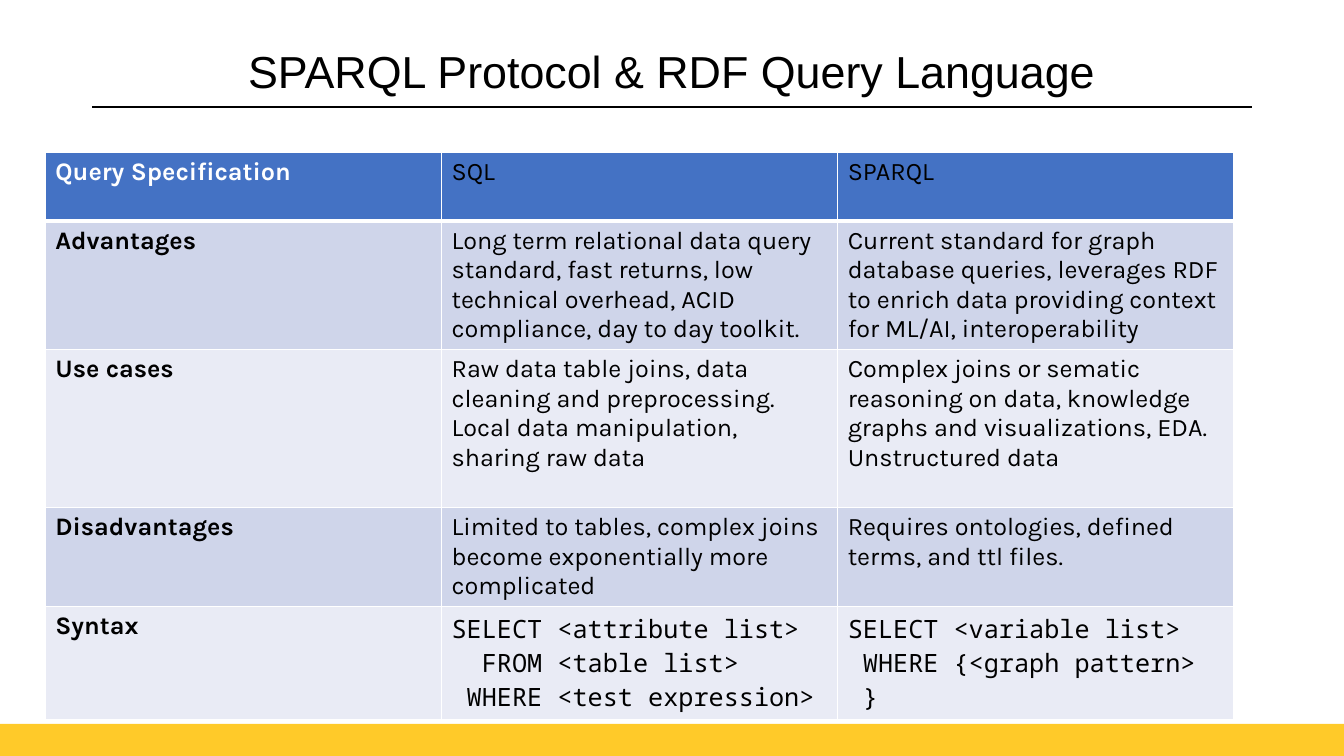
import pptx
import pptx.util
import pptx.dml.color
import pptx.enum.shapes
import pptx.enum.text
import pptx.oxml
import pptx.oxml.ns
from dataclasses import dataclass

Pt = pptx.util.Pt


@dataclass(frozen=True)
class Theme:
    black: str = "000000"
    white: str = "FFFFFF"
    gold: str = "FFCA29"
    header: str = "4472C4"
    bands: tuple = ("CFD5EA", "E9EBF5")
    title_font: str = "Arial"
    body_font: str = "Karla"
    code_font: str = "Noto Sans Mono"
    title_size: float = 32
    body_size: float = 18


def rgb(color):
    return pptx.dml.color.RGBColor.from_string(color)


class Deck:
    def __init__(self, theme, width, height):
        self.theme = theme
        self.prs = pptx.Presentation()
        self.prs.slide_width, self.prs.slide_height = Pt(width), Pt(height)
        self.s = self.prs.slides.add_slide(self.prs.slide_layouts[5])

    def style(self, p, font, size, color, bold=False):
        p.font.name, p.font.size, p.font.bold = font, Pt(size), bold
        p.font.color.rgb = rgb(color)

    def bar(self, x, y, w, h, color):
        sp = self.s.shapes.add_shape(pptx.enum.shapes.MSO_SHAPE.RECTANGLE,
                                     Pt(x), Pt(y), Pt(w), Pt(h))
        sp.shadow.inherit = False
        sp.fill.solid()
        sp.fill.fore_color.rgb = rgb(color)
        sp.line.fill.background()

    def rule(self, x1, x2, y, weight):
        line = self.s.shapes.add_connector(pptx.enum.shapes.MSO_CONNECTOR.STRAIGHT,
                                           Pt(x1), Pt(y), Pt(x2), Pt(y))
        line.line.color.rgb = rgb(self.theme.black)
        line.line.width = Pt(weight)
        pptx.oxml.ns.qn("a:effectLst")
        sp_pr = line._element.spPr
        sp_pr.append(sp_pr.makeelement(pptx.oxml.ns.qn("a:effectLst"), {}))

    def title(self, text, x, y, w, h):
        sp = self.s.shapes.title
        sp.left, sp.top, sp.width, sp.height = Pt(x), Pt(y), Pt(w), Pt(h)
        tf = sp.text_frame
        tf.text = text
        tf.auto_size = pptx.enum.text.MSO_AUTO_SIZE.NONE
        tf.vertical_anchor = pptx.enum.text.MSO_ANCHOR.MIDDLE
        p = tf.paragraphs[0]
        p.alignment = pptx.enum.text.PP_ALIGN.CENTER
        p.line_spacing = 0.9
        self.style(p, self.theme.title_font, self.theme.title_size, self.theme.black)

    def borders(self, cell, bottom):
        tc_pr = cell._tc.get_or_add_tcPr()
        for side, weight in (("L", 1), ("R", 1), ("T", 1), ("B", bottom)):
            tc_pr.append(pptx.oxml.parse_xml(
                f'<a:ln{side} {pptx.oxml.ns.nsdecls("a")} w="{Pt(weight)}"><a:solidFill>'
                f'<a:srgbClr val="{self.theme.white}"/></a:solidFill></a:ln{side}>'))

    def table(self, rows, x, y, col_width, heights):
        t = self.theme
        cols = len(rows[0])
        table = self.s.shapes.add_table(len(rows), cols, Pt(x), Pt(y), Pt(col_width * cols),
                                        Pt(sum(heights))).table
        for column in table.columns:
            column.width = Pt(col_width)
        for i, row in enumerate(rows):
            table.rows[i].height = Pt(heights[i])
            for j, text in enumerate(row):
                cell = table.cell(i, j)
                self.borders(cell, 3 if i == 0 else 1)
                cell.fill.solid()
                cell.fill.fore_color.rgb = rgb(t.bands[(i - 1) % 2] if i else t.header)
                cell.text = text
                is_code = i == len(rows) - 1 and j > 0
                self.style(cell.text_frame.paragraphs[0],
                           t.code_font if is_code else t.body_font, t.body_size,
                           t.white if i == j == 0 else t.black, bold=j == 0)


# Comparison content; \v is a line break inside a paragraph
ROWS = [
    ("Query Specification", "SQL", "SPARQL"),
    ("Advantages",
     "Long term relational data query standard, fast returns, low technical overhead, "
     "ACID compliance, day to day toolkit.",
     "Current standard for graph database queries, leverages RDF to enrich data "
     "providing context for ML/AI, interoperability"),
    ("Use cases",
     "Raw data table joins, data cleaning and preprocessing. Local data manipulation, "
     "sharing raw data",
     "Complex joins or sematic reasoning on data, knowledge graphs and visualizations, "
     "EDA. Unstructured data"),
    ("Disadvantages",
     "Limited to tables, complex joins become exponentially more complicated",
     "Requires ontologies, defined terms, and ttl files."),
    ("Syntax",
     "SELECT <attribute list>\v  FROM <table list>\v WHERE <test expression>",
     "SELECT <variable list>\v WHERE {<graph pattern>\v }"),
]


def main():
    theme = Theme()
    deck = Deck(theme, 960, 540)

    # Footer band
    deck.bar(0, 517, 960, 23, theme.gold)

    # Title with its rule
    deck.title("SPARQL Protocol & RDF Query Language", 66, 28.8, 828, 47.5)
    deck.rule(66, 894, 76.3, 1.5)

    # Comparison table
    deck.table(ROWS, 32.4, 108.8, 283, [49, 91.4, 113, 70.7, 80.5])

    deck.prs.save("out.pptx")


if __name__ == "__main__":
    main()
